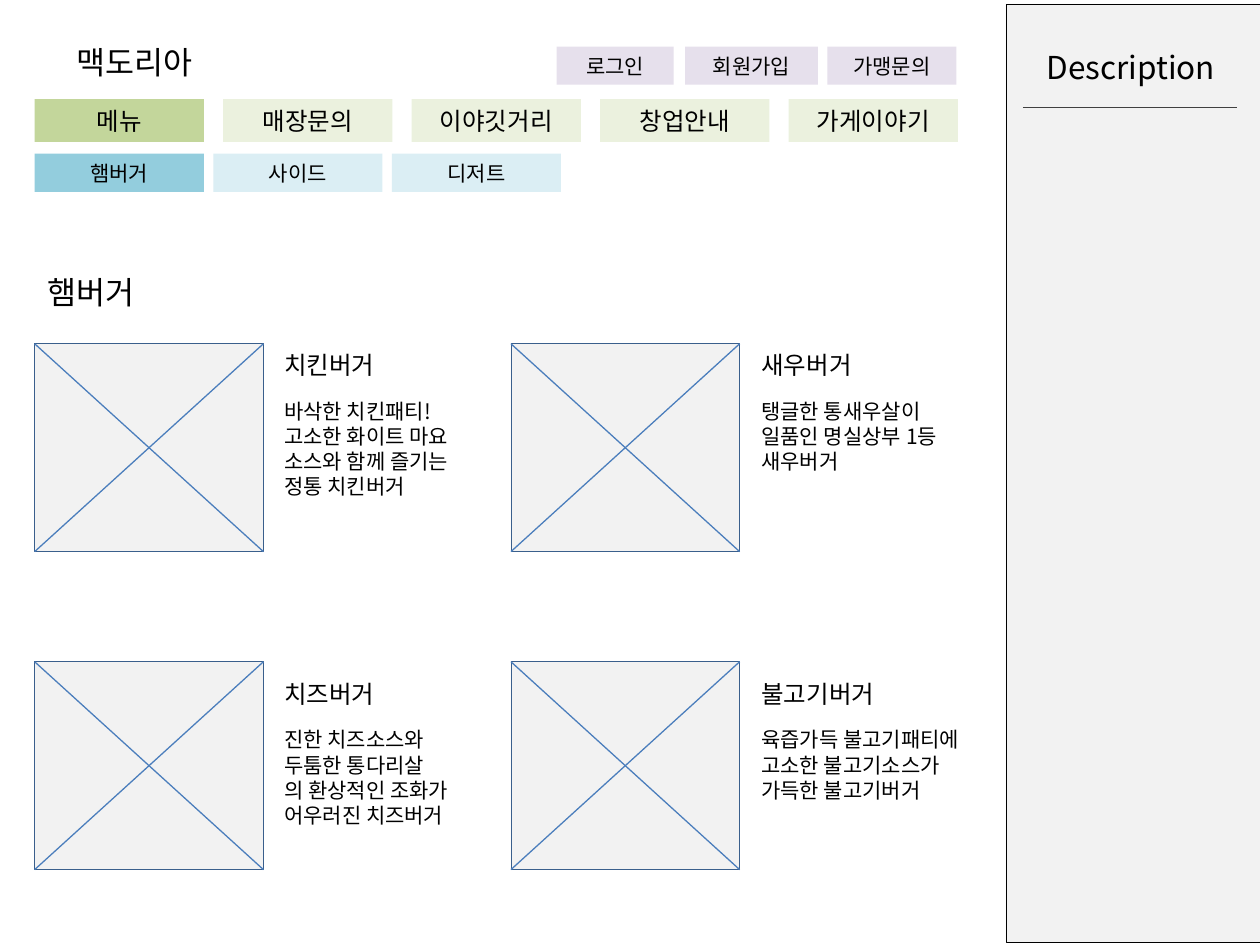
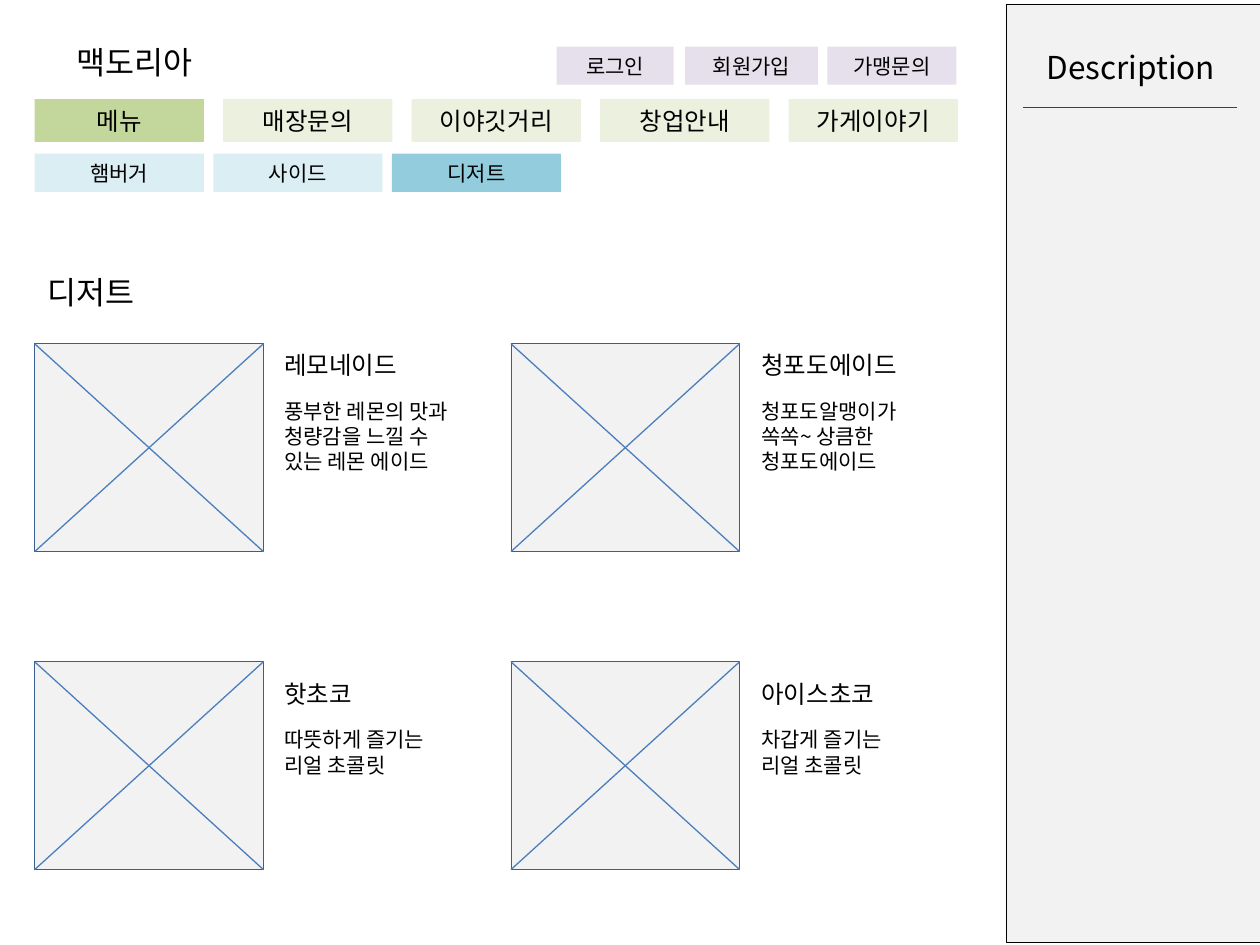
from dataclasses import dataclass

from lxml.etree import SubElement
from pptx import Presentation
from pptx.dml.color import RGBColor
from pptx.enum.shapes import MSO_CONNECTOR, MSO_SHAPE
from pptx.enum.text import MSO_ANCHOR, MSO_AUTO_SIZE, PP_ALIGN
from pptx.oxml.ns import qn
from pptx.util import Cm, Pt


@dataclass(frozen=True)
class Theme:
    font: str = "Noto Sans CJK KR"
    ink: str = "000000"
    panel: str = "F2F2F2"
    rule: str = "404040"
    frame: str = "3A5F8C"
    cross: str = "4B7EBC"
    utility: str = "E6E0EC"
    menu: str = "EBF1DE"
    menu_on: str = "C3D69B"
    tab: str = "DBEEF4"
    tab_on: str = "93CDDD"
    title: int = 18
    label: int = 14
    body: int = 12
    hairline: float = 0.25
    line: float = 0.75


T = Theme()


def add_box(shapes, x, y, w, h, text="", size=T.body, fill=None, line=None):
    """A filled box with centred text, or a plain left-aligned text box."""
    pos = [Cm(v) for v in (x, y, w, h)]
    if fill:
        sp = shapes.add_shape(MSO_SHAPE.RECTANGLE, *pos)
        sp.shadow.inherit = False
        sp.fill.solid()
        sp.fill.fore_color.rgb = RGBColor.from_string(fill)
        if line:
            sp.line.color.rgb = RGBColor.from_string(line)
            sp.line.width = Pt(T.hairline)
        else:
            sp.line.fill.background()
    else:
        sp = shapes.add_textbox(*pos)
    if not text:
        return
    tf = sp.text_frame
    frame_format = {
        "word_wrap": True,
        "auto_size": MSO_AUTO_SIZE.SHAPE_TO_FIT_TEXT,
        "vertical_anchor": MSO_ANCHOR.MIDDLE if fill else MSO_ANCHOR.TOP,
    }
    for name, value in frame_format.items():
        setattr(tf, name, value)
    for i, part in enumerate(text.split("\n")):
        p = tf.add_paragraph() if i else tf.paragraphs[0]
        p.alignment = PP_ALIGN.CENTER if fill else PP_ALIGN.LEFT
        r = p.add_run()
        r.text = part
        for name, value in {"name": T.font, "size": Pt(size)}.items():
            setattr(r.font, name, value)
        r.font.color.rgb = RGBColor.from_string(T.ink)
        SubElement(r.font._element, qn("a:ea"), typeface=T.font)


def add_line(shapes, x1, y1, x2, y2, color):
    ln = shapes.add_connector(MSO_CONNECTOR.STRAIGHT, Cm(x1), Cm(y1), Cm(x2), Cm(y2))
    ln.line.color.rgb = RGBColor.from_string(color)
    ln.line.width = Pt(T.line)
    SubElement(ln._element.spPr, qn("a:effectLst"))


# Shared navigation: utility links are (text, left, width)
UTILITIES = [("로그인", 11.22, 2.36), ("회원가입", 13.81, 2.68), ("가맹문의", 16.68, 2.6)]
MENUS = ["메뉴", "매장문의", "이야깃거리", "창업안내", "가게이야기"]
TABS = ["햄버거", "사이드", "디저트"]
LEFT, BUTTON_W = 0.7, 3.41
MENU_STEP, TAB_STEP = 3.8, 3.6

# Product grid
FRAME_W, FRAME_H = 4.61, 4.19
COLUMNS = [(0.7, 5.48), (10.3, 15.1)]  # frame left, text left
ROWS = [(6.93, 6.93), (13.34, 13.56)]  # frame top, text top
BODY_DROP = 0.97

# Products run across, then down: name, description, height in lines
PAGES = {
    "햄버거": [
        ("치킨버거", "바삭한 치킨패티!\n고소한 화이트 마요\n소스와 함께 즐기는 정통 치킨버거", 4),
        ("새우버거", "탱글한 통새우살이 일품인 명실상부 1등 새우버거", 3),
        ("치즈버거", "진한 치즈소스와\n두툼한 통다리살\n의 환상적인 조화가 어우러진 치즈버거", 4),
        ("불고기버거", "육즙가득 불고기패티에 고소한 불고기소스가 가득한 불고기버거", 4),
    ],
    "디저트": [
        ("레모네이드", "풍부한 레몬의 맛과 청량감을 느낄 수\n있는 레몬 에이드", 3),
        ("청포도에이드", "청포도알맹이가\n쏙쏙~ 상큼한 청포도에이드", 3),
        ("핫초코", "따뜻하게 즐기는\n리얼 초콜릿", 2),
        ("아이스초코", "차갑게 즐기는\n리얼 초콜릿", 2),
    ],
}

prs = Presentation()
prs.slide_width, prs.slide_height = Cm(25.4), Cm(19.05)

for page, products in PAGES.items():
    s = prs.slides.add_slide(prs.slide_layouts[6])

    # Description panel
    panel = s.shapes.add_group_shape().shapes
    add_box(panel, 20.28, 0.08, 5.12, 18.92, fill=T.panel, line=T.ink)
    add_box(panel, 20.85, 0.84, 4.09, 1.02, "Description", T.title)
    add_line(panel, 20.62, 2.16, 24.94, 2.16, T.rule)

    # Site name and utility links
    add_box(s.shapes, 1.29, 0.74, 4.19, 1.02, "맥도리아", T.title)
    for text, x, w in UTILITIES:
        add_box(s.shapes, x, 0.94, w, 0.77, text, fill=T.utility)

    # Main menu and category tabs
    for i, text in enumerate(MENUS):
        fill = T.menu_on if text == "메뉴" else T.menu
        add_box(s.shapes, LEFT + i * MENU_STEP, 2, BUTTON_W, 0.86, text, T.label, fill)
    for i, text in enumerate(TABS):
        fill = T.tab_on if text == page else T.tab
        add_box(s.shapes, LEFT + i * TAB_STEP, 3.1, BUTTON_W, 0.77, text, fill=fill)

    # Page heading
    add_box(s.shapes, LEFT, 5.38, FRAME_W, 1.02, page, T.title)

    # Products: crossed image frame, name and description
    for i, (name, description, lines) in enumerate(products):
        x, text_x = COLUMNS[i % 2]
        y, text_y = ROWS[i // 2]
        right, bottom = x + FRAME_W, y + FRAME_H
        frame = s.shapes.add_group_shape().shapes
        add_box(frame, x, y, FRAME_W, FRAME_H, fill=T.panel, line=T.frame)
        add_line(frame, x, y, right, bottom, T.cross)
        add_line(frame, right, y, x, bottom, T.cross)
        add_box(s.shapes, text_x, text_y, FRAME_W, 0.86, name, T.label)
        add_box(s.shapes, text_x, text_y + BODY_DROP, FRAME_W,
                0.25 + 0.51 * lines, description)

prs.save("out.pptx")
